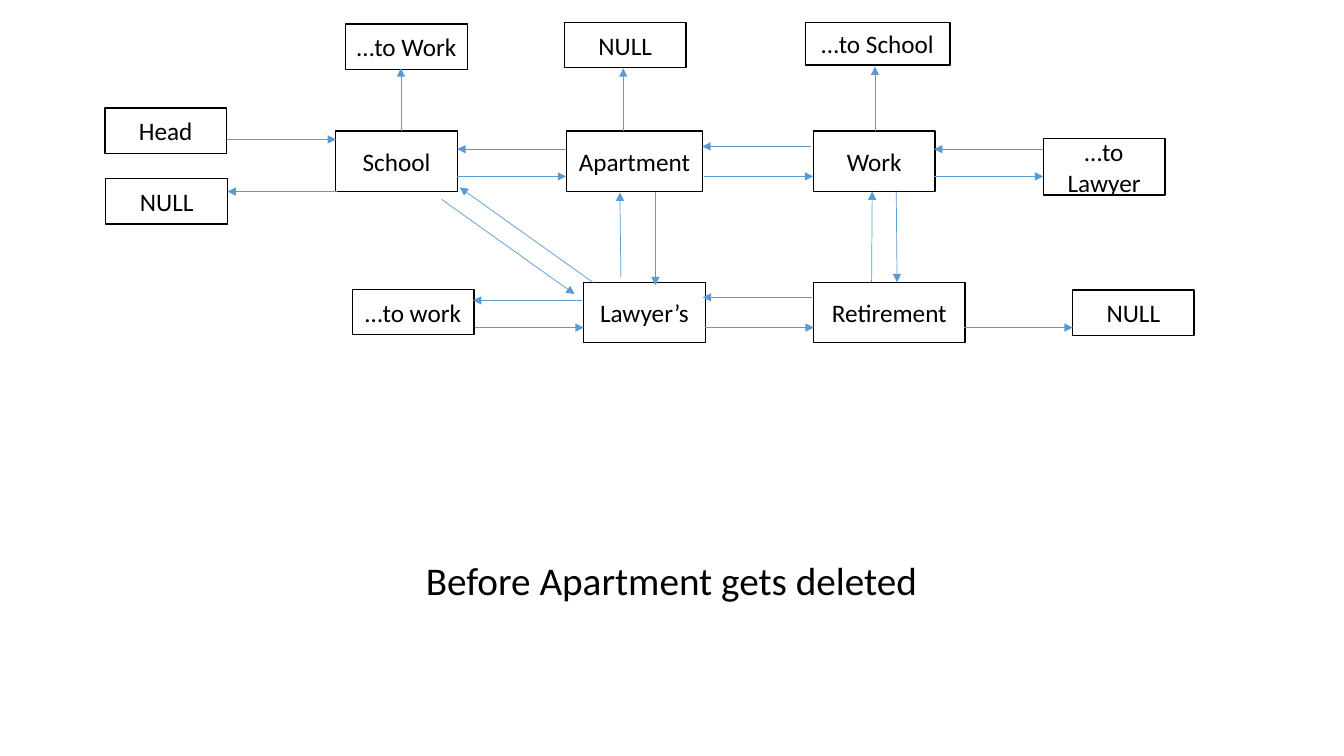
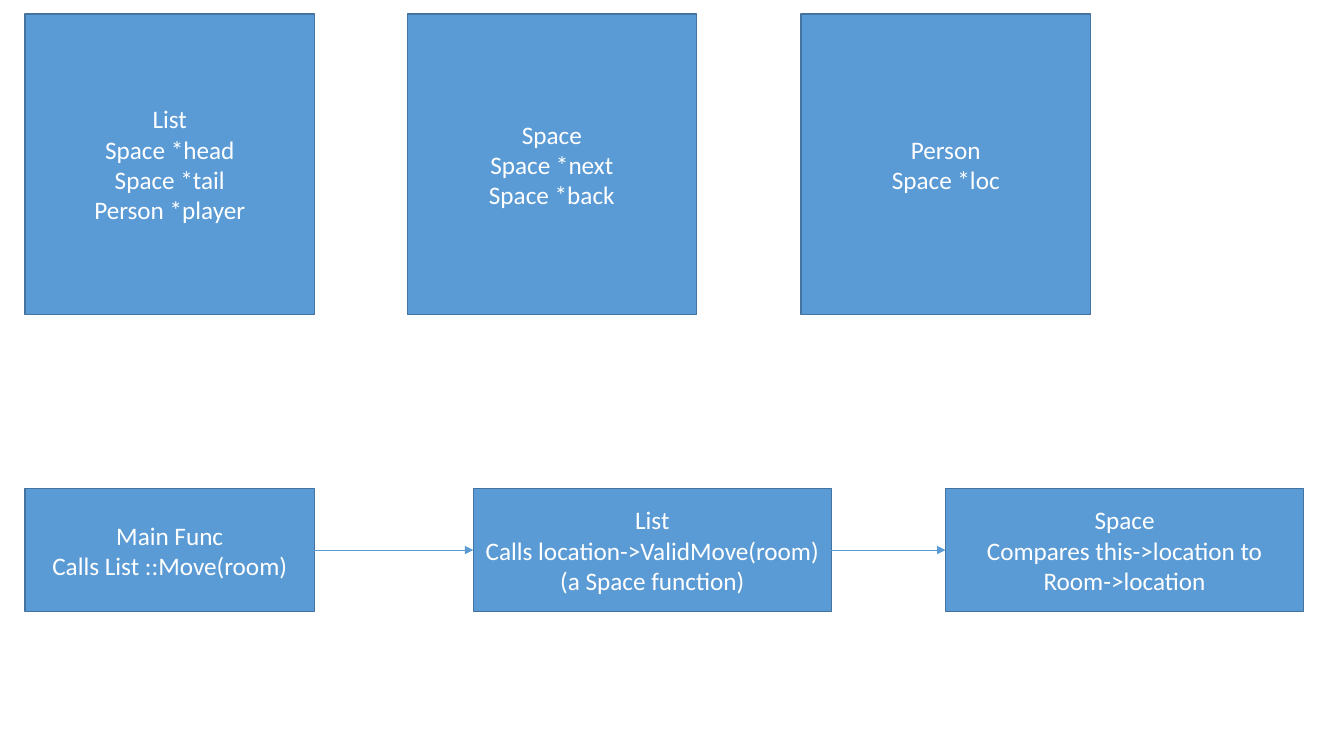
from pptx import Presentation
from pptx.util import Pt
from pptx.dml.color import RGBColor as RGB
from pptx.enum.shapes import MSO_SHAPE as Shape, MSO_CONNECTOR as Line
from pptx.enum.text import PP_ALIGN as Align, MSO_ANCHOR as Anchor
from pptx.oxml.ns import qn
from lxml.etree import SubElement as Sub

HUE = {"ink": "000000", "paper": "FFFFFF", "blue": "5B9BD5", "edge": "43739E"}
FONT = "Calibri"

deck = Presentation()
deck.slide_width, deck.slide_height = Pt(960), Pt(540)
blank = deck.slide_layouts[6]


def box(slide, text, x, y, w, h, fill=None, edge=None, ink="ink", size=18):
    item = slide.shapes.add_shape(Shape.RECTANGLE, Pt(x), Pt(y), Pt(w), Pt(h)) if edge \
        else slide.shapes.add_textbox(Pt(x), Pt(y), Pt(w), Pt(h))
    if edge:
        item.shadow.inherit = False
        item.line.color.rgb = RGB.from_string(HUE[edge])
        item.line.width = Pt(1)
    if fill:
        item.fill.solid()
        item.fill.fore_color.rgb = RGB.from_string(HUE[fill])
    else:
        item.fill.background()
    frame = item.text_frame
    frame.word_wrap = True
    frame.vertical_anchor = Anchor.MIDDLE if edge else Anchor.TOP
    frame.text = text
    for para in frame.paragraphs:
        para.alignment = Align.CENTER
        for run in para.runs:
            run.font.name, run.font.size = FONT, Pt(size)
            run.font.color.rgb = RGB.from_string(HUE[ink])


def arrow(slide, x1, y1, x2, y2):
    item = slide.shapes.add_connector(Line.STRAIGHT, Pt(x1), Pt(y1), Pt(x2), Pt(y2))
    item.line.color.rgb = RGB.from_string(HUE["blue"])
    item.line.width = Pt(0.5)
    Sub(item.line._get_or_add_ln(), qn("a:tailEnd"), type="triangle")
    Sub(item._element.spPr, qn("a:effectLst"))


rooms = deck.slides.add_slide(blank)
box(rooms, "Before Apartment gets deleted", 203.8, 393.8, 551.5, 41, size=28)

TOP, LOW, WIDE, TALL, SLIM = 93.6, 201.6, 86.9, 43.2, 32.4
for text, x, y, w, h in [
    ("School", 239.8, TOP, WIDE, TALL),
    ("Apartment", 404.6, TOP, 97.2, TALL),
    ("Work", 581, TOP, WIDE, TALL),
    ("Lawyer’s", 416.9, LOW, WIDE, TALL),
    ("Retirement", 581.3, LOW, 108, TALL),
    ("Head", 74.9, 77.2, WIDE, SLIM),
    ("NULL", 75.6, 127.6, WIDE, SLIM),
    ("…to Work", 247, 17.2, WIDE, SLIM),
    ("NULL", 403.2, 16, WIDE, SLIM),
    ("…to School", 575.3, 16, 103.2, 30.4),
    ("…to Lawyer", 745.2, 99.1, WIDE, 40.3),
    ("…to work", 251.7, 206.6, WIDE, SLIM),
    ("NULL", 766.1, 207.2, WIDE, SLIM),
]:
    box(rooms, text, x, y, w, h, edge="ink")

REACH = 78
for y, way, starts in [
    (99.6, 1, [162]),
    (126, 1, [326.4, 502.8, 667.2]),
    (234, 1, [339, 503.3, 688.3]),
    (104.6, -1, [579.6]),
    (106.6, -1, [404.6, 745.2]),
    (136.8, -1, [240.5]),
    (212.4, -1, [580]),
    (214.6, -1, [416]),
]:
    for x in starts:
        arrow(rooms, x, y, x + way * REACH, y)

for x1, y1, x2, y2 in [
    (286.4, TOP, 286.4, 48.8),
    (445.2, TOP, 445.2, 48.8),
    (625, TOP, 625, 47.6),
    (443.5, 198, 442.8, 137.5),
    (468.2, 137.5, 468.2, 203.8),
    (622.6, LOW, 623, 136.8),
    (640.2, 136.8, 640.8, LOW),
    (423.4, LOW, 328.4, 133.9),
    (315.4, 142.4, 410.4, 210.1),
]:
    arrow(rooms, x1, y1, x2, y2)

code = deck.slides.add_slide(blank)
BLUE = {"fill": "blue", "edge": "edge", "ink": "paper"}
for x, text in [
    (18, "List\nSpace *head\nSpace *tail\nPerson *player"),
    (290.9, "Space\nSpace *next\nSpace *back"),
    (572.3, "Person\nSpace *loc"),
]:
    box(code, text, x, 10, 206.6, 214.6, **BLUE)

last = None
for x, w, text in [
    (18, 206.6, "Main Func\nCalls List ::Move(room)"),
    (338.1, 255.8, "List\nCalls location->ValidMove(room)\n(a Space function)"),
    (675.4, 255.8, "Space\nCompares this->location to\nRoom->location"),
]:
    box(code, text, x, 349, w, 87.8, **BLUE)
    if last:
        arrow(code, last, 392.9, x, 392.9)
    last = x + w

deck.save("out.pptx")
